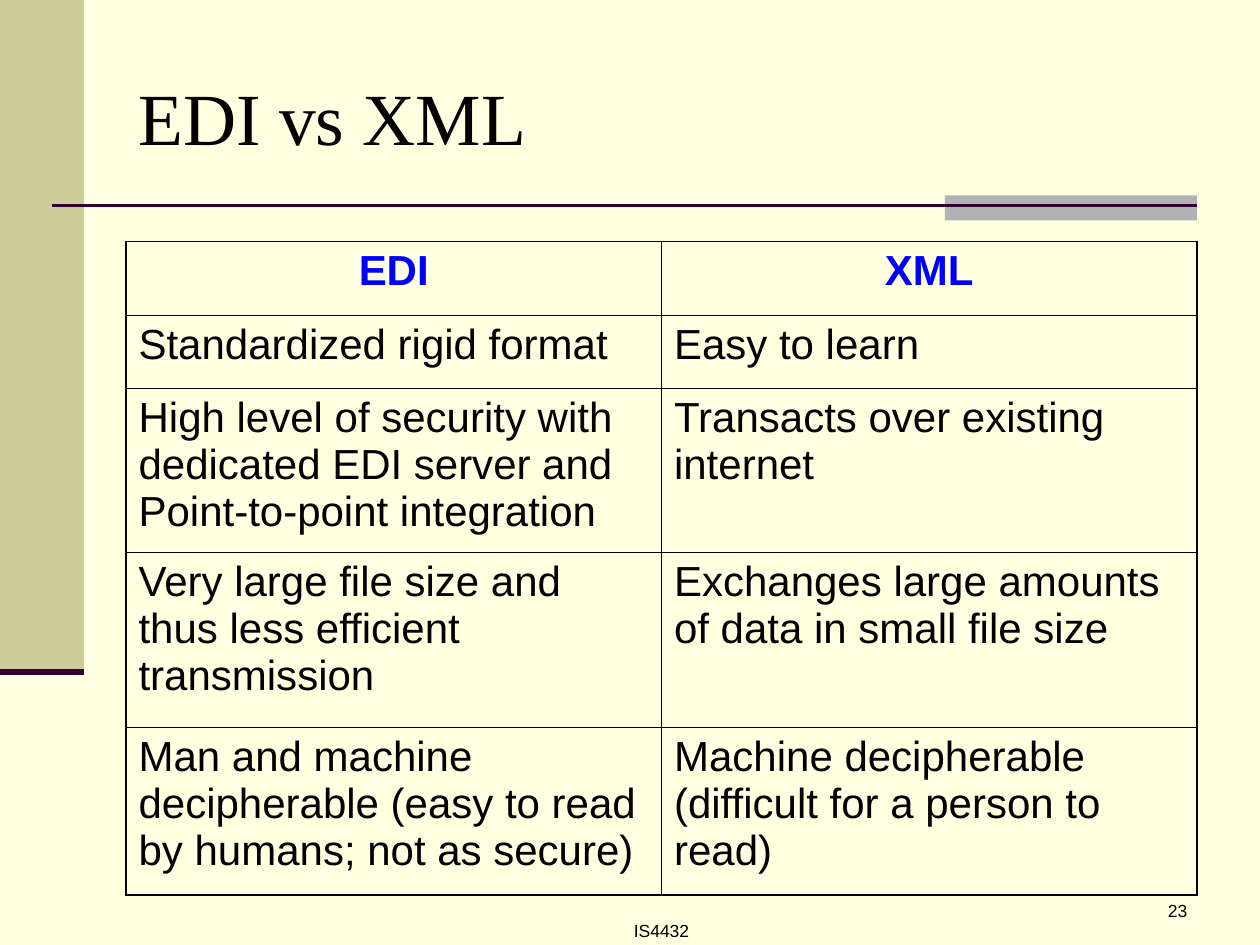
from dataclasses import dataclass

from lxml.etree import SubElement
from pptx import Presentation
from pptx.dml.color import RGBColor
from pptx.enum.shapes import MSO_CONNECTOR, MSO_SHAPE
from pptx.enum.text import MSO_ANCHOR, PP_ALIGN
from pptx.oxml.ns import qn
from pptx.util import Pt


@dataclass(frozen=True)
class Theme:
    background: str = "FFFFE1"
    side_band: str = "CCCC99"
    accent: str = "B2B2B2"
    rule: str = "330033"
    text: str = "000000"
    heading: str = "0000FF"
    title_font: str = "Times New Roman"
    body_font: str = "Arial"
    title_size: float = 42
    body_size: float = 24
    footer_size: float = 10
    outer_border: float = 1.08
    inner_border: float = 0.45


THEME = Theme()

COMPARISON = [
    ("EDI", "XML"),
    ("Standardized rigid format", "Easy to learn"),
    ("High level of security with dedicated EDI server and Point-to-point integration",
     "Transacts over existing internet"),
    ("Very large file size and thus less efficient transmission",
     "Exchanges large amounts of data in small file size"),
    ("Man and machine decipherable (easy to read by humans; not as secure)",
     "Machine decipherable (difficult for a person to read)"),
]
ROW_HEIGHTS = [42, 42, 93.6, 100, 95.8]
COLUMN_WIDTH = 306


def apply_format(target, values):
    for name, value in values.items():
        setattr(target, name, value)


def write_text(frame, text, size, font=THEME.body_font, color=THEME.text,
               bold=False, **paragraph_format):
    paragraph = frame.paragraphs[0]
    apply_format(paragraph, paragraph_format)
    run = paragraph.add_run()
    run.text = text
    apply_format(run.font, {"name": font, "size": Pt(size), "bold": bold})
    run.font.color.rgb = RGBColor.from_string(color)


def add_label(slide, box, text, size, anchor=MSO_ANCHOR.TOP, **text_format):
    frame = slide.shapes.add_textbox(*map(Pt, box)).text_frame
    apply_format(frame, {"word_wrap": True, "vertical_anchor": anchor})
    write_text(frame, text, size, **text_format)


def add_band(slide, box, color):
    band = slide.shapes.add_shape(MSO_SHAPE.RECTANGLE, *map(Pt, box))
    band.shadow.inherit = False
    band.fill.solid()
    band.fill.fore_color.rgb = RGBColor.from_string(color)
    band.line.fill.background()


def add_rule(slide, left, right, y, width):
    rule = slide.shapes.add_connector(
        MSO_CONNECTOR.STRAIGHT, Pt(left), Pt(y), Pt(right), Pt(y))
    rule.line.width = Pt(width)
    rule.line.color.rgb = RGBColor.from_string(THEME.rule)
    SubElement(rule._element.spPr, qn("a:effectLst"))


def set_borders(cell, outer_sides):
    # Border lines must come before the fill in the cell properties
    properties = cell._tc.get_or_add_tcPr()
    for position, side in enumerate("LRTB"):
        width = THEME.outer_border if side in outer_sides else THEME.inner_border
        border = properties.makeelement(qn(f"a:ln{side}"), {"w": str(Pt(width))})
        fill = SubElement(border, qn("a:solidFill"))
        SubElement(fill, qn("a:srgbClr"), val=THEME.text)
        properties.insert(position, border)


def add_comparison(slide, left, top):
    row_count, column_count = len(COMPARISON), len(COMPARISON[0])
    table = slide.shapes.add_table(
        row_count, column_count, Pt(left), Pt(top),
        Pt(COLUMN_WIDTH * column_count), Pt(sum(ROW_HEIGHTS))).table
    apply_format(table, {"first_row": False, "horz_banding": False})
    for column in table.columns:
        column.width = Pt(COLUMN_WIDTH)
    for r, (height, texts) in enumerate(zip(ROW_HEIGHTS, COMPARISON)):
        table.rows[r].height = Pt(height)
        is_heading = r == 0
        for c, text in enumerate(texts):
            cell = table.cell(r, c)
            cell.fill.background()
            apply_format(cell, {
                "margin_left": Pt(7.2), "margin_right": Pt(7.2),
                "margin_top": Pt(3.6), "margin_bottom": Pt(3.6)})
            write_text(
                cell.text_frame, text, THEME.body_size, bold=is_heading,
                color=THEME.heading if is_heading else THEME.text,
                alignment=PP_ALIGN.CENTER if is_heading else PP_ALIGN.LEFT,
                space_before=Pt(6))
            edges = {"L": c == 0, "R": c == column_count - 1,
                     "T": is_heading, "B": r == row_count - 1}
            set_borders(cell, [side for side, outer in edges.items() if outer])


def main():
    deck = Presentation()
    apply_format(deck, {"slide_width": Pt(720), "slide_height": Pt(540)})
    slide = deck.slides.add_slide(deck.slide_layouts[6])
    slide.background.fill.solid()
    slide.background.fill.fore_color.rgb = RGBColor.from_string(THEME.background)

    # Side band, accent and rules
    add_band(slide, (0, 0, 48, 384), THEME.side_band)
    add_band(slide, (540, 111.6, 144, 14.4), THEME.accent)
    add_rule(slide, 30, 684, 117.6, 1.5)
    add_rule(slide, 0, 48, 384, 3.5)

    # Footer
    add_label(slide, (264, 522, 228, 18), "IS4432", THEME.footer_size,
              alignment=PP_ALIGN.CENTER)
    add_label(slide, (535.5, 510.5, 150, 36), "23", THEME.footer_size,
              alignment=PP_ALIGN.RIGHT)

    # Title and comparison
    add_label(slide, (72, 21.6, 612, 90), "EDI vs XML", THEME.title_size,
              anchor=MSO_ANCHOR.MIDDLE, font=THEME.title_font)
    add_comparison(slide, 72, 138)

    deck.save("out.pptx")


if __name__ == "__main__":
    main()
